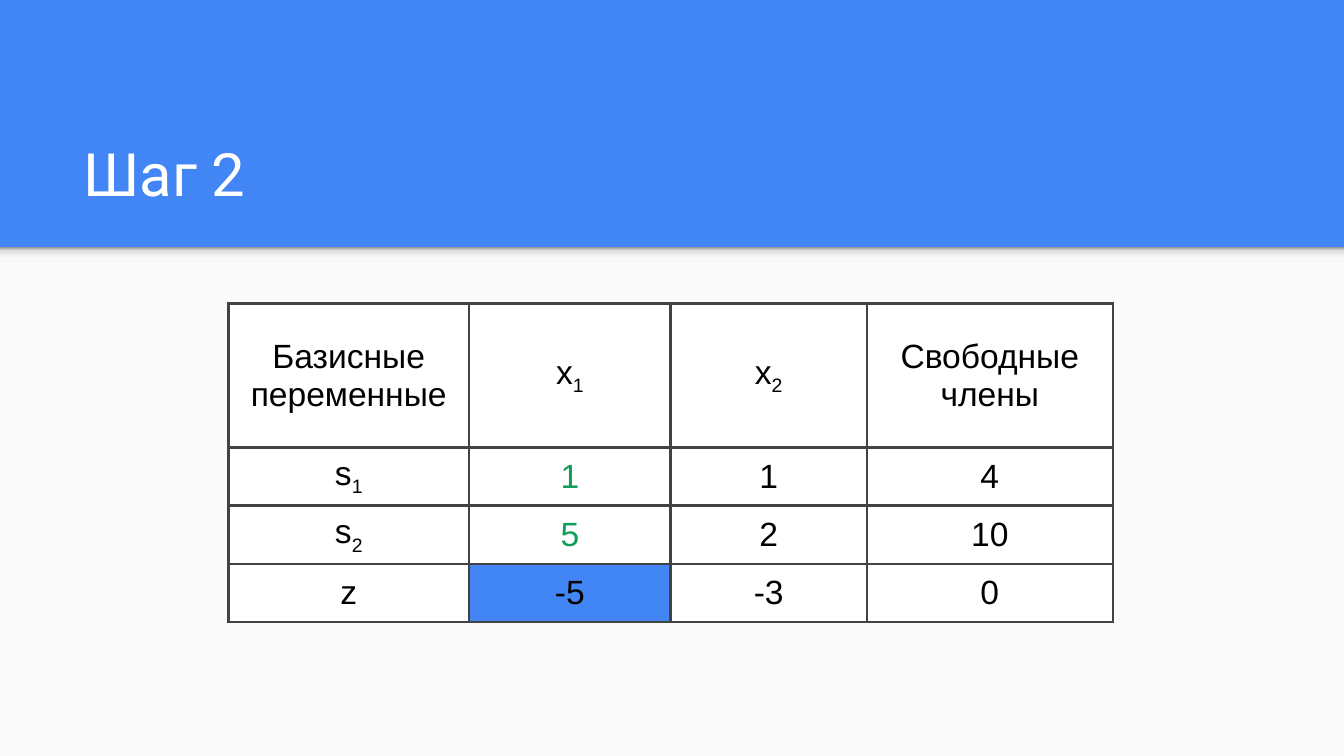
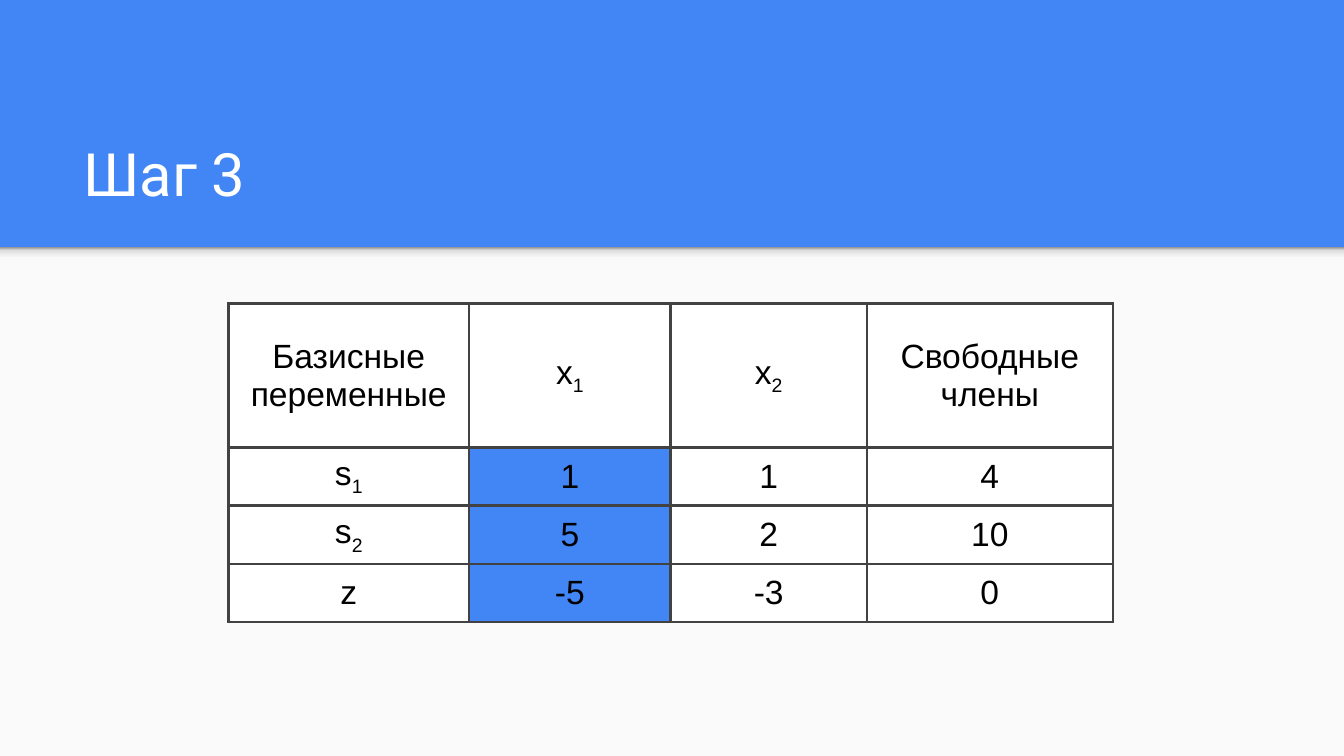
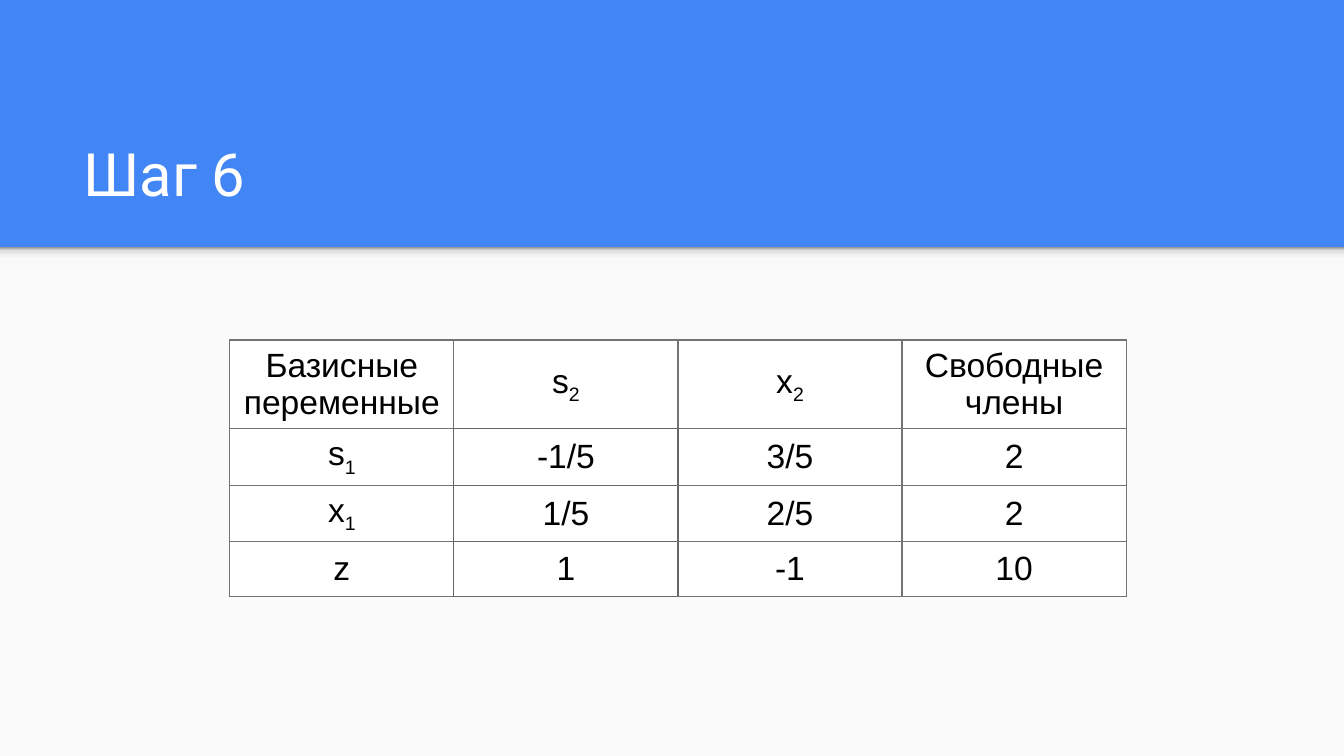
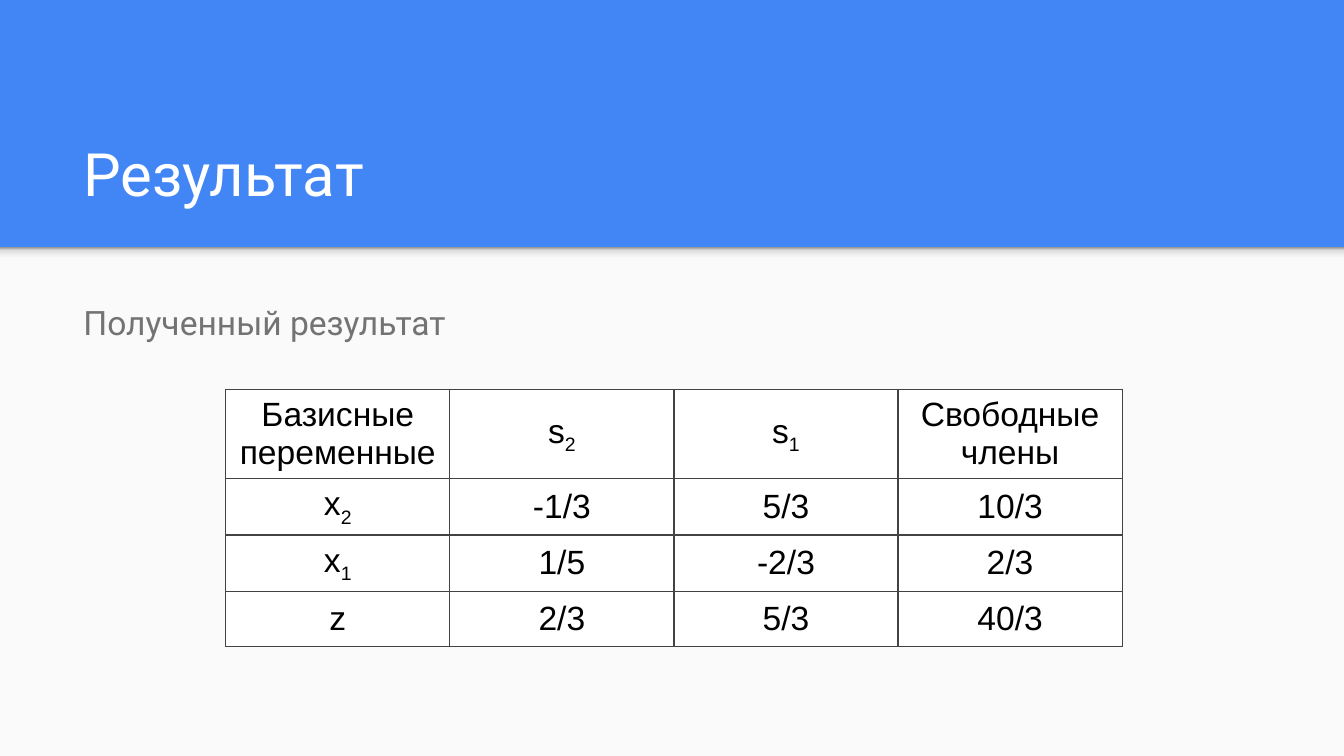
from lxml.etree import SubElement
from pptx import Presentation
from pptx.dml.color import RGBColor
from pptx.enum.shapes import MSO_SHAPE
from pptx.enum.text import MSO_ANCHOR, MSO_AUTO_SIZE, PP_ALIGN
from pptx.oxml.ns import qn
from pptx.util import Inches, Pt

BLUE, PAPER, WHITE, BLACK = "4285F4", "FAFAFA", "FFFFFF", "000000"
GREEN, GREY = "0F9D58", "737373"
SHADE_STOPS = [(0, "F9F9F9"), (36, "F9F9F9"), (80, "DEDEDE"), (100, "999999")]
TITLE_ONLY, TITLE_AND_BODY = 5, 1
SLIDE_WIDTH = Inches(10)
SLIDE_HEIGHT = SLIDE_WIDTH * 9 // 16
BAND_BOTTOM = Inches(1.84)
# Each cell side with the step to the neighbour that shares it
SIDES = {"L": (0, -1), "R": (0, 1), "T": (-1, 0), "B": (1, 0)}


def rgb(value):
    return RGBColor.from_string(value)


class SimplexDeck:
    def __init__(self):
        self.deck = Presentation()
        self.deck.slide_width, self.deck.slide_height = SLIDE_WIDTH, SLIDE_HEIGHT
        self.master = self.deck.slide_master
        fill = self.master.background.fill
        fill.solid()
        fill.fore_color.rgb = rgb(BLUE)
        self.slide = None

    def add_slide(self, title, body=None):
        layout = TITLE_AND_BODY if body else TITLE_ONLY
        self.slide = self.deck.slides.add_slide(self.deck.slide_layouts[layout])
        if len(self.deck.slides) == 1:
            self.add_master_panel()
        self.fill_placeholder(0, title, (0.52, 0.81, 8.99, 0.84), 32, WHITE, MSO_ANCHOR.BOTTOM)
        if body:
            self.add_body(body)

    def add_master_panel(self):
        """Put the pale panel and the shade under the blue band on the master."""
        panel = self.add_rectangle(SLIDE_HEIGHT - BAND_BOTTOM)
        panel.fill.solid()
        panel.fill.fore_color.rgb = rgb(PAPER)
        shade = self.add_rectangle(Inches(0.12))
        shade.fill.gradient()
        shade.fill.gradient_angle = 90
        stops = shade.element.find(".//" + qn("a:gsLst"))
        stops.clear()
        for percent, color in SHADE_STOPS:
            stop = SubElement(stops, qn("a:gs"), pos=str(percent * 1000))
            SubElement(stop, qn("a:srgbClr"), val=color)
        for index, shape in enumerate((panel, shade)):
            shape.element.nvSpPr.cNvPr.set("id", str(100 + index))
            self.master.shapes.element.insert(2 + index, shape.element)

    def add_rectangle(self, height):
        """Add a borderless rectangle, as wide as the slide, below the blue band."""
        shape = self.slide.shapes.add_shape(
            MSO_SHAPE.RECTANGLE, 0, BAND_BOTTOM, SLIDE_WIDTH, height)
        shape.shadow.inherit = False
        shape.line.fill.background()
        return shape

    def fill_placeholder(self, index, text, place, size, color, anchor):
        box = self.slide.placeholders[index]
        box.left, box.top, box.width, box.height = map(Inches, place)
        frame = box.text_frame
        frame.text = text
        frame.word_wrap = True
        frame.auto_size = MSO_AUTO_SIZE.NONE
        frame.vertical_anchor = anchor
        frame.margin_left = frame.margin_right = Inches(0.1)
        frame.margin_top = frame.margin_bottom = Inches(0.1)
        para = frame.paragraphs[0]
        para.alignment = PP_ALIGN.LEFT
        para.space_before = Pt(0)
        self.format_span(para.runs[0], "Roboto", size, color)
        return para

    def add_body(self, text):
        para = self.fill_placeholder(1, text, (0.52, 2.1, 8.99, 2.96), 18, GREY, MSO_ANCHOR.TOP)
        para.line_spacing = 1.15
        para.space_after = Pt(12)
        properties = para._p.get_or_add_pPr()
        properties.set("marL", "0")
        properties.set("indent", "0")
        SubElement(properties, qn("a:buNone"))

    def format_span(self, span, font, size, color):
        span.font.name, span.font.size = font, Pt(size)
        span.font.color.rgb = rgb(color)

    def add_table(self, rows, place, widths, heights, line, line_width,
                  fills=None, inks=None, line_accents=None):
        """Add a tableau; fills, inks and line_accents map (row, column) to a colour."""
        fills, inks, line_accents = fills or {}, inks or {}, line_accents or {}
        frame = self.slide.shapes.add_table(len(rows), len(widths), *map(Inches, place))
        table = frame.table
        table.first_row = table.horz_banding = False
        for column, width in zip(table.columns, widths):
            column.width = Inches(width)
        for row, height in zip(table.rows, heights):
            row.height = Inches(height)
        frame.height = Inches(place[3])
        for r, texts in enumerate(rows):
            for c, text in enumerate(texts):
                cell = table.cell(r, c)
                self.set_cell_text(cell, text, inks.get((r, c), BLACK))
                for side, (down, right) in SIDES.items():
                    neighbour = line_accents.get((r + down, c + right), line)
                    self.add_border(cell, side, line_accents.get((r, c), neighbour), line_width)
                cell.fill.solid()
                cell.fill.fore_color.rgb = rgb(fills.get((r, c), WHITE))

    def set_cell_text(self, cell, text, color):
        """Write text centred; what follows an underscore is a subscript."""
        cell.vertical_anchor = MSO_ANCHOR.MIDDLE
        base, _, subscript = text.partition("_")
        para = cell.text_frame.paragraphs[0]
        para.text = base
        para.alignment = PP_ALIGN.CENTER
        if subscript:
            span = para.add_run()
            span.text = subscript
            span._r.get_or_add_rPr().set("baseline", "-25000")
        for span in para.runs:
            self.format_span(span, "Arial", 18, color)

    def add_border(self, cell, side, color, width):
        border = SubElement(cell._tc.get_or_add_tcPr(), qn("a:ln" + side), w=str(Pt(width)))
        fill = SubElement(border, qn("a:solidFill"))
        SubElement(fill, qn("a:srgbClr"), val=color)


def tableau(first, second, *rows):
    return [["Базисные переменные", first, second, "Свободные члены"], *rows]


def main():
    show = SimplexDeck()

    start = tableau("x_1", "x_2", ["s_1", "1", "1", "4"],
                    ["s_2", "5", "2", "10"], ["z", "-5", "-3", "0"])
    start_grid = dict(place=(1.7, 2.26, 6.58, 2.37), widths=[1.79, 1.5, 1.46, 1.83],
                      heights=[1.07] + [(2.37 - 1.07) / 3] * 3, line="424242", line_width=1.5)
    even_grid = dict(widths=[6.67 / 4] * 4, heights=[0.41] * 4, line_width=0.75)
    first_column = [(row, 1) for row in (1, 2, 3)]

    show.add_slide("Шаг 2")
    show.add_table(start, fills={(3, 1): BLUE},
                   inks=dict.fromkeys(first_column[:2], GREEN), **start_grid)

    show.add_slide("Шаг 3")
    show.add_table(start, fills=dict.fromkeys(first_column, BLUE), **start_grid)

    show.add_slide("Шаг 6")
    pivoted = tableau("s_2", "x_2", ["s_1", "-1/5", "3/5", "2"],
                      ["x_1", "1/5", "2/5", "2"], ["z", "1", "-1", "10"])
    show.add_table(pivoted, place=(1.71, 2.53, 6.67, 1.92), line=GREY,
                   line_accents=dict.fromkeys(first_column, "666666"), **even_grid)

    show.add_slide("Результат", "Полученный результат")
    result = tableau("s_2", "s_1", ["x_2", "-1/3", "5/3", "10/3"],
                     ["x_1", "1/5", "-2/3", "2/3"], ["z", "2/3", "5/3", "40/3"])
    show.add_table(result, place=(1.68, 2.9, 6.67, 1.92), line="434343", **even_grid)

    show.deck.save("out.pptx")


if __name__ == "__main__":
    main()
